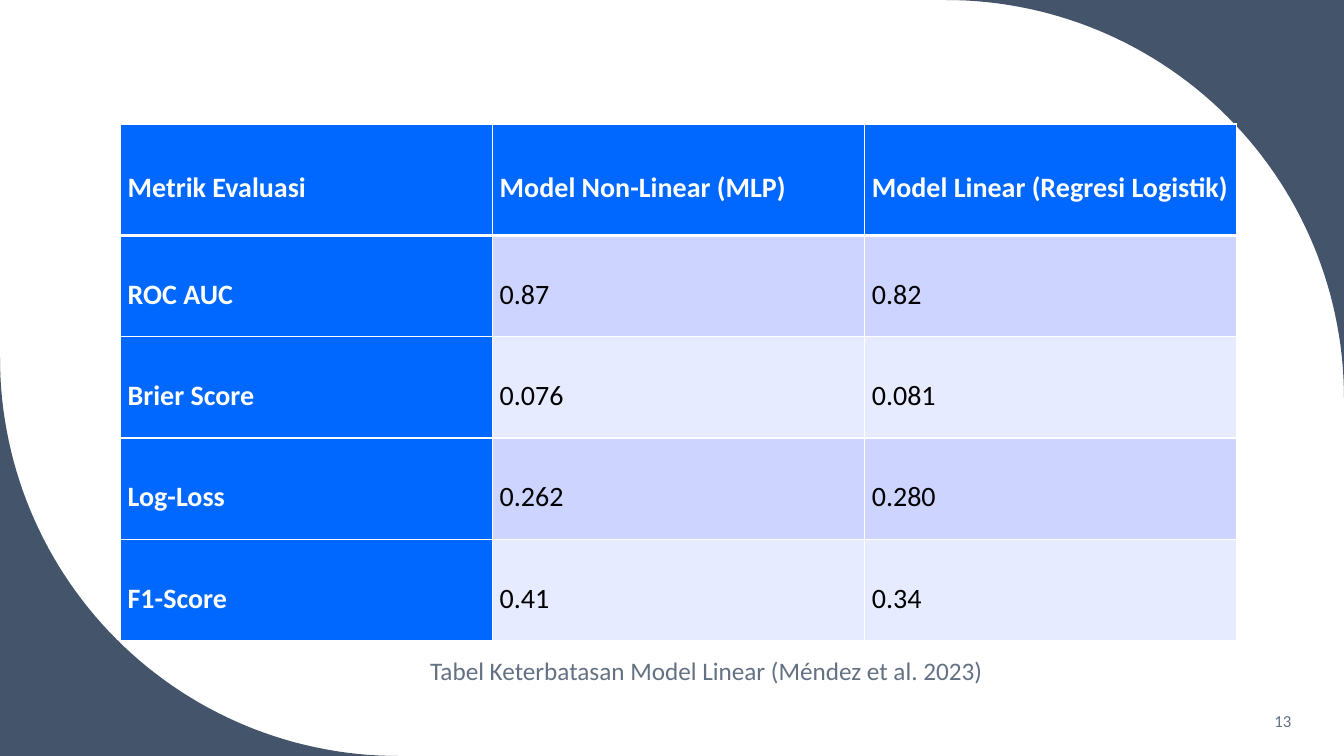
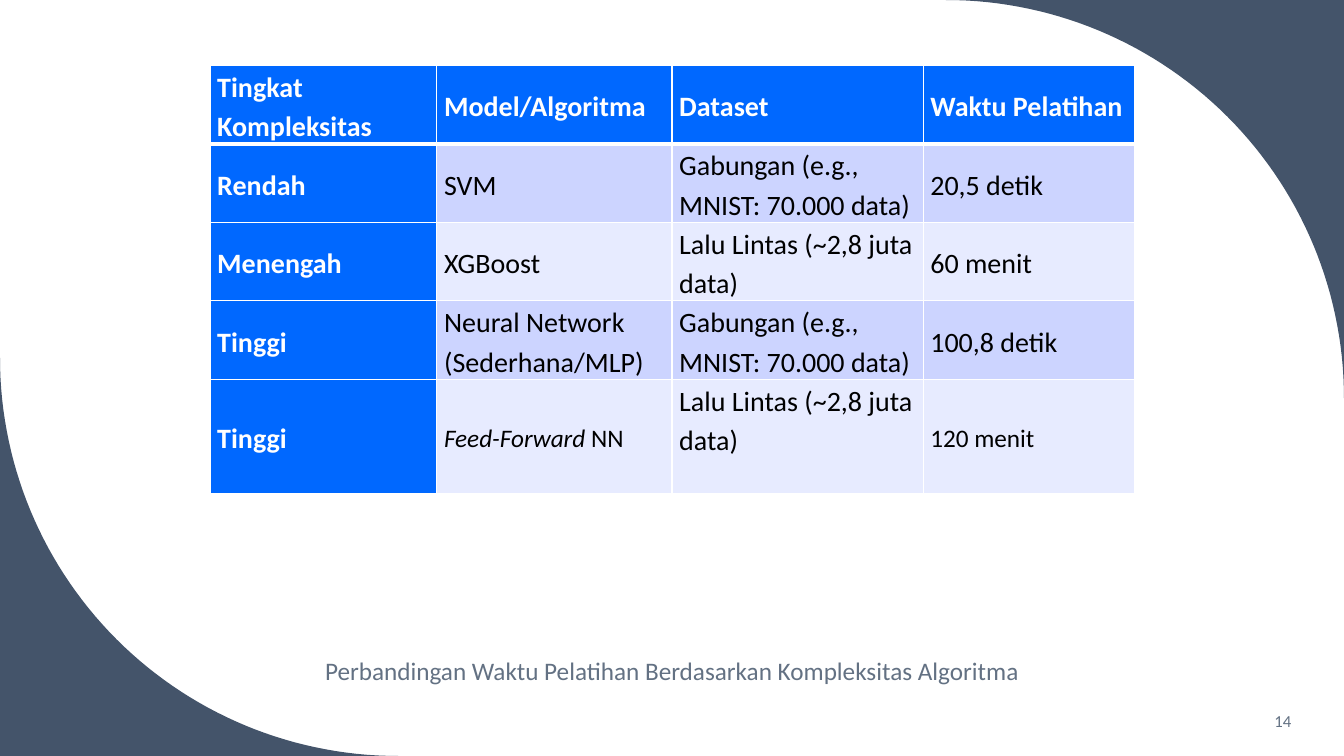
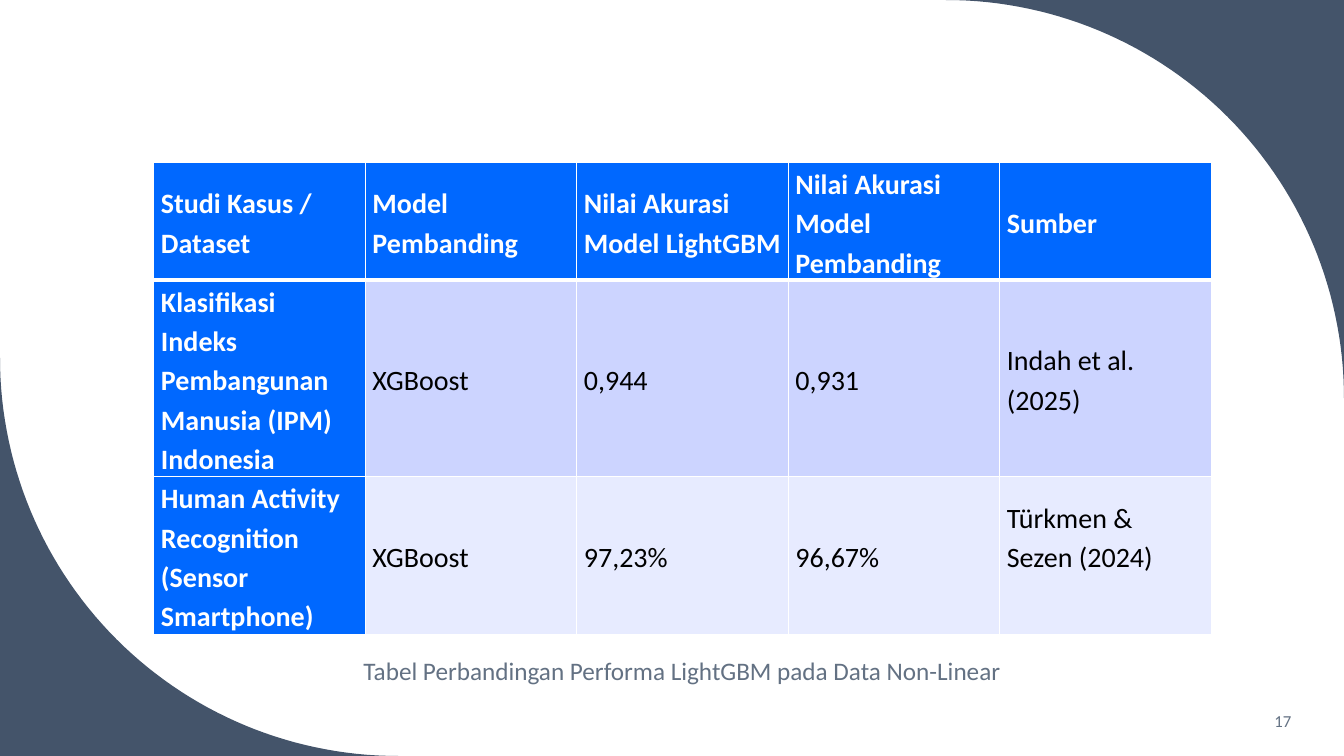
import dataclasses
import math

import pptx
import pptx.dml.color
import pptx.enum.text
import pptx.oxml
import pptx.oxml.ns
import pptx.util

COLUMNS, ROWS = 80, 45
UNIT = pptx.util.Inches(7.5) // ROWS
FONT = "Calibri"
COLORS = {
    "corner": "44546A",
    "muted": "637183",
    "header": "0068FF",
    "odd": "CCD4FF",
    "even": "E7EBFF",
    "white": "FFFFFF",
    "black": "000000",
}
CORNER_RADIUS = 23.7
CORNER_STEPS = 60
CELL_INSET = 0.43
ANCHOR_MIDDLE = pptx.enum.text.MSO_ANCHOR.MIDDLE
ALIGN = pptx.enum.text.PP_ALIGN


@dataclasses.dataclass
class Entry:
    """Table cell text that departs from the usual style."""
    text: str
    italic: str = ""
    size: int = 20
    bottom: float = 0


@dataclasses.dataclass
class TableSlide:
    """Content and grid placement of one table slide."""
    number: int
    caption: str
    caption_center: float
    caption_width: float
    left: float
    top: float
    widths: list
    heights: list
    line_spacing: float
    entries: list


TABLE_SLIDES = [
    TableSlide(
        13, "Tabel Keterbatasan Model Linear (Méndez et al. 2023)", 42.05, 37.1,
        7.17, 7.38, [22.15] * 3, [6.64] + [6.03] * 4, 1.5,
        [
            ["Metrik Evaluasi", "Model Non-Linear (MLP)", "Model Linear (Regresi Logistik)"],
            ["ROC AUC", "0.87", "0.82"],
            ["Brier Score", "0.076", "0.081"],
            ["Log-Loss", "0.262", "0.280"],
            ["F1-Score", "0.41", "0.34"],
        ],
    ),
    TableSlide(
        14, "Perbandingan Waktu Pelatihan Berdasarkan Kompleksitas Algoritma", 40, 46.7,
        12.5, 3.9, [13.5, 14, 14.95, 12.6], [4.67] * 4 + [6.84], 1.15,
        [
            ["Tingkat Kompleksitas", "Model/Algoritma", "Dataset", "Waktu Pelatihan"],
            ["Rendah", "SVM", "Gabungan (e.g., MNIST: 70.000 data)", "20,5 detik"],
            ["Menengah", "XGBoost", "Lalu Lintas (~2,8 juta data)", "60 menit"],
            ["Tinggi", "Neural Network (Sederhana/MLP)",
             "Gabungan (e.g., MNIST: 70.000 data)", "100,8 detik"],
            ["Tinggi", Entry(" NN", italic="Feed-Forward", size=18),
             Entry("Lalu Lintas (~2,8 juta data)", bottom=2.15), Entry("120 menit", size=18)],
        ],
    ),
    TableSlide(
        17, "Tabel Perbandingan Performa LightGBM pada Data Non-Linear", 40.6, 44.3,
        9.15, 9.68, [12.59] * 5, [7, 11.7, 9.4], 1.15,
        [
            ["Studi Kasus / Dataset", "Model Pembanding", "Nilai Akurasi Model LightGBM",
             "Nilai Akurasi Model Pembanding", "Sumber"],
            ["Klasifikasi Indeks Pembangunan Manusia (IPM) Indonesia", "XGBoost",
             "0,944", "0,931", "Indah et al. (2025)"],
            ["Human Activity Recognition (Sensor Smartphone)", "XGBoost",
             "97,23%", "96,67%", Entry("Türkmen & Sezen (2024)", bottom=2.34)],
        ],
    ),
]


def grid(count):
    """Convert grid units to a length."""
    return pptx.util.Emu(round(count * UNIT))


def rgb(name):
    """Look up a named colour."""
    return pptx.dml.color.RGBColor.from_string(COLORS[name])


def style_font(font, size, color, bold=False, italic=False):
    """Apply the deck's typeface with the given style."""
    font.name, font.size = FONT, pptx.util.Pt(size)
    font.bold, font.italic = bold, italic
    font.color.rgb = rgb(color)


def add_corner(slide, x, y, start_angle):
    """Fill the area between a slide corner and its quarter arc."""
    center_x = abs(x - CORNER_RADIUS)
    center_y = abs(y - CORNER_RADIUS)
    angles = [math.radians(start_angle + 90 * step / CORNER_STEPS)
              for step in range(CORNER_STEPS + 1)]
    arc = [(grid(center_x + CORNER_RADIUS * math.cos(angle)),
            grid(center_y + CORNER_RADIUS * math.sin(angle))) for angle in angles]
    builder = slide.shapes.build_freeform(grid(x), grid(y))
    builder.add_line_segments(arc, close=True)
    shape = builder.convert_to_shape()
    shape.shadow.inherit = False
    shape.fill.solid()
    shape.fill.fore_color.rgb = rgb("corner")
    shape.line.fill.background()


def add_label(slide, box, text, size, alignment):
    """Place one muted line of text in a box."""
    shape = slide.shapes.add_textbox(*map(grid, box))
    frame = shape.text_frame
    frame.word_wrap = True
    frame.vertical_anchor = ANCHOR_MIDDLE
    frame.text = text
    paragraph = frame.paragraphs[0]
    paragraph.alignment = alignment
    style_font(paragraph.runs[0].font, size, "muted")


def add_borders(cell, top, bottom):
    """Draw white cell borders, with top and bottom widths in points."""
    properties = cell._tc.get_or_add_tcPr()
    for side, width in (("L", 1), ("R", 1), ("T", top), ("B", bottom)):
        properties.append(pptx.oxml.parse_xml(
            f'<a:ln{side} {pptx.oxml.ns.nsdecls("a")} w="{pptx.util.Pt(width)}">'
            f'<a:solidFill><a:srgbClr val="{COLORS["white"]}"/></a:solidFill></a:ln{side}>'))


def fill_cell(cell, entry, row, column, line_spacing):
    """Write and style one table cell by its row and column."""
    if isinstance(entry, str):
        entry = Entry(entry)
    heading = row == 0 or column == 0
    add_borders(cell, 3 if row == 1 else 1, 3 if row == 0 else 1)
    cell.fill.solid()
    cell.fill.fore_color.rgb = rgb("header" if heading else "odd" if row % 2 else "even")
    cell.margin_left = cell.margin_right = grid(CELL_INSET)
    cell.margin_top, cell.margin_bottom = 0, grid(entry.bottom)
    cell.vertical_anchor = ANCHOR_MIDDLE
    paragraph = cell.text_frame.paragraphs[0]
    paragraph.line_spacing = line_spacing
    for text, italic in ((entry.italic, True), (entry.text, False)):
        if text:
            run = paragraph.add_run()
            run.text = text
            style_font(run.font, entry.size, "white" if heading else "black", heading, italic)


def add_data_table(slide, content):
    """Place the table with its header row and header column."""
    widths, heights = content.widths, content.heights
    box = content.left, content.top, sum(widths), sum(heights)
    table = slide.shapes.add_table(len(heights), len(widths), *map(grid, box)).table
    for column, width in zip(table.columns, widths):
        column.width = grid(width)
    for row, height in zip(table.rows, heights):
        row.height = grid(height)
    for row, entries in enumerate(content.entries):
        for column, entry in enumerate(entries):
            fill_cell(table.cell(row, column), entry, row, column, content.line_spacing)


def add_table_slide(presentation, content):
    """Build one slide with corners, table, caption and page number."""
    slide = presentation.slides.add_slide(presentation.slide_layouts[6])
    add_corner(slide, COLUMNS, 0, -90)
    add_corner(slide, 0, ROWS, 90)
    caption_left = content.caption_center - content.caption_width / 2
    add_label(slide, (caption_left, 38.7, content.caption_width, 2.4),
              content.caption, 18, ALIGN.CENTER)
    add_label(slide, (66.6, 41.7, 10.86, 2.4), str(content.number), 12, ALIGN.RIGHT)
    add_data_table(slide, content)


def main():
    """Build and save the presentation."""
    presentation = pptx.Presentation()
    presentation.slide_width = grid(COLUMNS)
    presentation.slide_height = grid(ROWS)
    for content in TABLE_SLIDES:
        add_table_slide(presentation, content)
    presentation.save("out.pptx")


if __name__ == "__main__":
    main()
